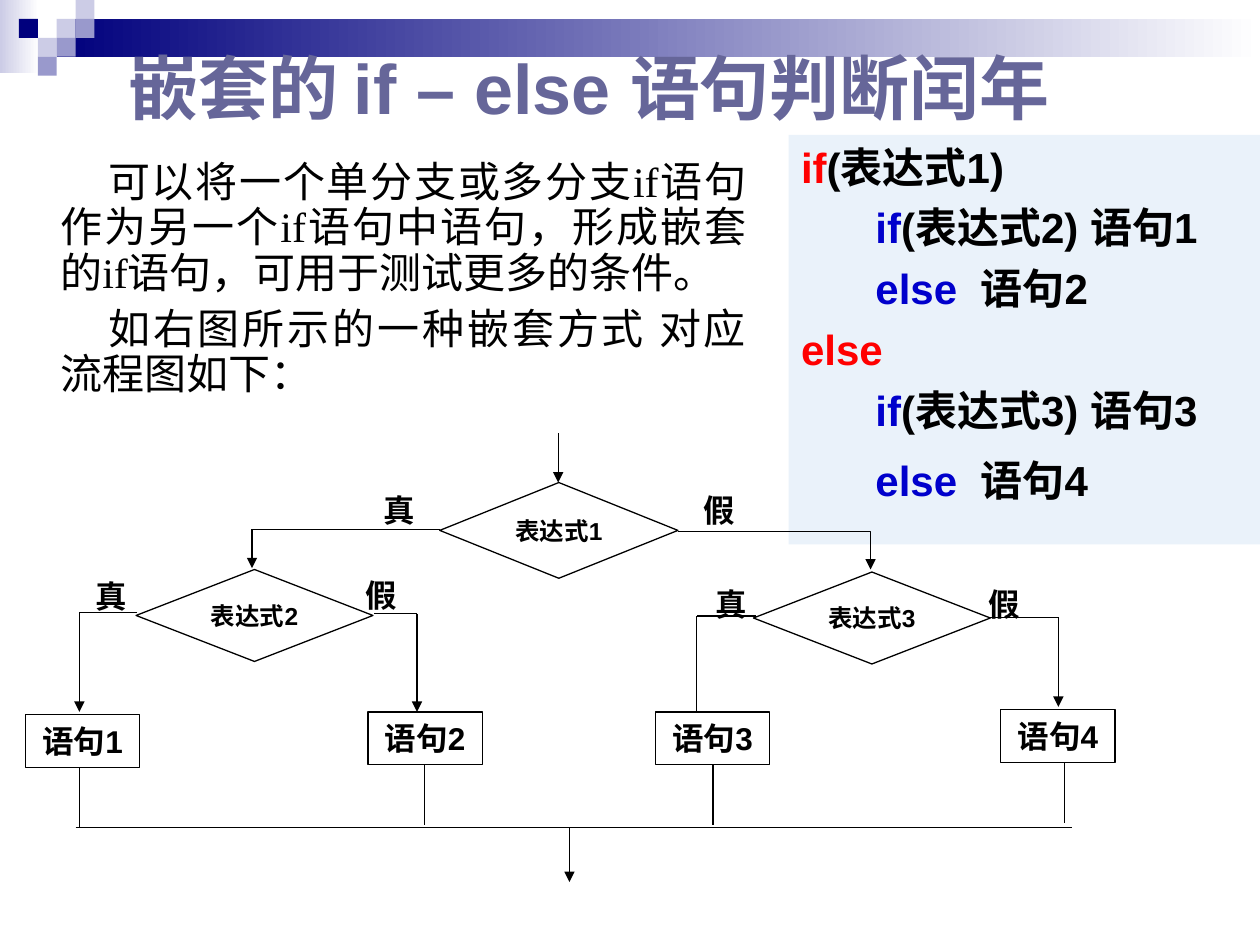
from lxml import etree
from pptx import Presentation
from pptx.dml.color import RGBColor
from pptx.enum import shapes as sh, text as tx
from pptx.oxml.ns import qn
from pptx.util import Inches, Pt

BLACK, WHITE, RED, BLUE = "000000", "FFFFFF", "FF0000", "0000CC"
NAVY, LILAC, MAUVE = "00007D", "CCCCE6", "9999CC"
SHAPE, ALIGN = sh.MSO_SHAPE, tx.PP_ALIGN


def color(code):
    return RGBColor.from_string(code)


def inch(*nums):
    return [Inches(n) for n in nums]


def style(font, size, code, bold=True, name="Arial"):
    font.name, font.size, font.bold = name, Pt(size), bold
    font.color.rgb = color(code)


def indent(para, left, first):
    props = para._p.get_or_add_pPr()
    props.set("marL", str(Inches(left)))
    props.set("indent", str(Inches(first)))


def block(slide, kind, box, fill, line=None):
    shape = slide.shapes.add_shape(kind, *inch(*box))
    shape.shadow.inherit = False
    if isinstance(fill, tuple):
        shape.fill.gradient()
        shape.fill.gradient_angle = 0
        for stop, code in zip(shape.fill.gradient_stops, fill):
            stop.color.rgb = color(code)
    else:
        shape.fill.solid()
        shape.fill.fore_color.rgb = color(fill)
    if line:
        shape.line.color.rgb = color(line)
        shape.line.width = Pt(0.75)
    else:
        shape.line.fill.background()
    return shape


def ink(shape, arrow):
    shape.line.color.rgb = color(BLACK)
    shape.line.width = Pt(0.75)
    if arrow:
        etree.SubElement(shape.line._get_or_add_ln(), qn("a:tailEnd"), type="triangle")


def wire(slide, x1, y1, x2, y2, arrow=False):
    line = slide.shapes.add_connector(sh.MSO_CONNECTOR.STRAIGHT, *inch(x1, y1, x2, y2))
    ink(line, arrow)
    etree.SubElement(line._element.spPr, qn("a:effectLst"))


def elbow(slide, start, *rest):
    pen = slide.shapes.build_freeform(*inch(*start))
    pen.add_line_segments([inch(*point) for point in rest], close=False)
    shape = pen.convert_to_shape()
    shape.shadow.inherit = False
    shape.fill.background()
    ink(shape, True)


def label(shape, words, size):
    frame = shape.text_frame
    frame.word_wrap = False
    frame.vertical_anchor = tx.MSO_ANCHOR.MIDDLE
    para = frame.paragraphs[0]
    para.text, para.alignment = words, ALIGN.CENTER
    style(para.font, size, BLACK)


# Gradient band and mosaic of small squares
def banner(slide, x, y, w, h):
    block(slide, SHAPE.RECTANGLE, (x, y, 0.31, 0.58), (LILAC, WHITE))
    block(slide, SHAPE.RECTANGLE, (x + 0.45, y + 0.15, w - 0.45, 0.3), (NAVY, WHITE))
    side = h / 4
    tiles = [(3, 1, LILAC), (4, 0, LILAC), (4, 1, MAUVE), (2, 2, LILAC),
             (1, 1, NAVY), (3, 2, MAUVE), (2, 3, MAUVE)]
    for col, row, code in tiles:
        block(slide, SHAPE.RECTANGLE, (x + col * side, y + row * side, side, side), code)


def title(slide, *box):
    frame = slide.shapes.add_textbox(*inch(*box)).text_frame
    frame.word_wrap = True
    frame.vertical_anchor = tx.MSO_ANCHOR.MIDDLE
    para = frame.paragraphs[0]
    para.text = "嵌套的 if – else 语句判断闰年"
    style(para.font, 40, "666699")


# Nested if code on a pale panel
def code(slide, *box):
    frame = block(slide, SHAPE.RECTANGLE, box, "EAF2FA").text_frame
    frame.word_wrap = True
    frame.vertical_anchor = tx.MSO_ANCHOR.TOP
    frame.margin_right = Inches(0.05)
    rows = [(0, "if", "(表达式1)"), (1, "if", "(表达式2) 语句1"), (1, "else  ", "语句2"),
            (0, "else", ""), (1, "if", "(表达式3) 语句3"), (1, "else  ", "语句4")]
    for n, (level, key, rest) in enumerate(rows):
        para = frame.paragraphs[0] if n == 0 else frame.add_paragraph()
        para.alignment = ALIGN.LEFT
        indent(para, 0.59 * level, 0)
        if n:
            para.space_before = Pt(11 if n == len(rows) - 1 else 6)
        for words, tint in ((key, BLUE if level else RED), (rest, BLACK)):
            if words:
                run = para.add_run()
                run.text = words
                style(run.font, 24, tint)


def intro(slide, *box):
    frame = slide.shapes.add_textbox(*inch(*box)).text_frame
    frame.word_wrap = True
    lines = ["可以将一个单分支或多分支if语句作为另一个if语句中语句，形成嵌套的if语句，可用于测试更多的条件。",
             "如右图所示的一种嵌套方式 对应流程图如下："]
    for n, words in enumerate(lines):
        para = frame.paragraphs[0] if n == 0 else frame.add_paragraph()
        para.text, para.alignment = words, ALIGN.JUSTIFY
        para.line_spacing = 0.9
        if n:
            para.space_before = Pt(6)
        indent(para, 0.38, 0.38)
        style(para.font, 24, BLACK, False, "Times New Roman")


def flow(slide, x, y, w, h):
    mid = x + 4.23
    join = y + 3.13

    # Entry and the two top branches
    wire(slide, mid, y, mid, y + 0.39, True)
    wire(slide, x + 3.29, y + 0.76, x + 1.8, y + 0.76)
    wire(slide, x + 1.8, y + 0.76, x + 1.8, y + 1.07, True)
    elbow(slide, (x + 5.18, y + 0.78), (x + 6.71, y + 0.78), (x + 6.71, y + 1.08))

    # Lower branches: start, drop, height, end
    for start, drop, top, end in [(0.89, 0.43, 1.42, 2.21), (2.77, 3.11, 1.43, 2.21),
                                  (5.8, 5.33, 1.45, 2.37), (7.63, 8.2, 1.46, 2.17)]:
        wire(slide, x + start, y + top, x + drop, y + top)
        wire(slide, x + drop, y + top, x + drop, y + end, True)

    # Decisions
    for n, (left, top, wide, high) in enumerate(
            [(3.29, 0.39, 1.89, 0.76), (0.88, 1.08, 1.88, 0.73), (5.78, 1.1, 1.88, 0.73)], 1):
        shape = block(slide, SHAPE.FLOWCHART_DECISION,
                      (x + left, y + top, wide, high), WHITE, BLACK)
        label(shape, f"表达式{n}", 14)

    # Statements with their outlets
    for n, (left, top, out) in enumerate(
            [(0, 2.23, 0.43), (2.72, 2.21, 3.17), (5, 2.21, 5.46), (7.74, 2.19, 8.25)], 1):
        shape = block(slide, SHAPE.FLOWCHART_PROCESS,
                      (x + left, y + top, 0.91, 0.42), WHITE, BLACK)
        label(shape, f"语句{n}", 18)
        wire(slide, x + out, y + top + 0.42, x + out, y + top + 0.9)

    # Join and exit
    wire(slide, x + 0.4, join, x + w, join)
    wire(slide, x + 4.32, join, x + 4.32, y + h, True)

    # Branch labels
    for words, left, top in [("真", 2.72, 0.41), ("假", 5.26, 0.41), ("真", 0.43, 1.09),
                             ("假", 2.58, 1.08), ("真", 5.35, 1.15), ("假", 7.52, 1.15)]:
        label(slide.shapes.add_textbox(*inch(x + left, y + top, 0.5, 0.4)), words, 18)


def main():
    deck = Presentation()
    deck.slide_width, deck.slide_height = inch(10, 7.5)
    slide = deck.slides.add_slide(deck.slide_layouts[6])
    banner(slide, 0, 0, 10, 0.6)
    title(slide, 0.92, 0.31, 9.08, 0.75)
    code(slide, 6.26, 1.07, 3.74, 3.25)
    flow(slide, 0.2, 3.44, 8.31, 3.56)
    intro(slide, 0, 1.23, 6.02, 2.05)
    deck.save("out.pptx")


if __name__ == "__main__":
    main()
